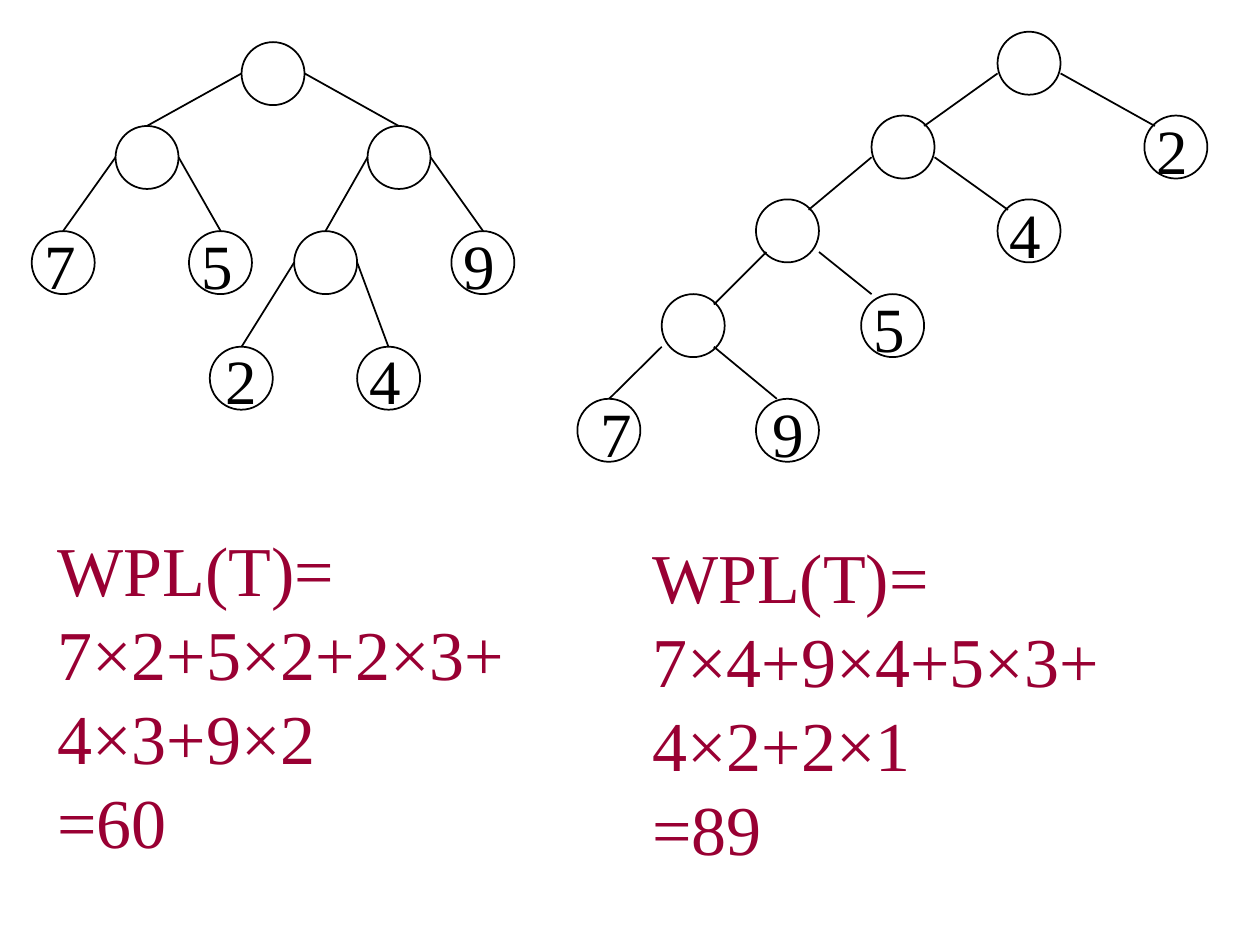
from pptx import Presentation
from pptx import util as u
from pptx.dml.color import RGBColor
from pptx.enum import shapes, text
from pptx.oxml.ns import qn
from lxml import etree

GRID = 2.54 / 12
NODE_SIZE = 6
FONT = "Times New Roman"
BLACK, CRIMSON = "000000", "990033"

BALANCED_NODES = {
    "root": (23, 4, ""), "left": (11, 12, ""), "right": (35, 12, ""),
    "seven": (3, 22, "7"), "five": (18, 22, "5"), "inner": (28, 22, ""),
    "nine": (43, 22, "9"), "two": (20, 33, "2"), "four": (34, 33, "4"),
}
BALANCED_CHILDREN = {
    "root": ("left", "right"), "left": ("seven", "five"),
    "right": ("inner", "nine"), "inner": ("two", "four"),
}
SKEWED_NODES = [
    (95, 3, ""), (83, 11, ""), (109, 11, "2"), (72, 19, ""), (95, 19, "4"),
    (63, 28, ""), (82, 28, "5"), (55, 38, "7"), (72, 38, "9"),
]
SKEWED_EDGES = [
    (95, 7, 88, 12), (101, 7, 110, 12), (83, 15, 77, 20), (89, 15, 96, 20),
    (73, 24, 68, 29), (78, 24, 83, 28), (63, 33, 58, 38), (68, 33, 74, 38),
]
LABEL_SHIFTS = {(20, 33): 0.25, (55, 38): 1, (72, 38): 0.4}


def color(value):
    """Turn a hex string into a colour."""
    return RGBColor.from_string(value)


def grid(value):
    """Turn grid steps into a length."""
    return u.Cm(round(value * GRID, 2))


def add_run(paragraph, words, size, hex_color):
    """Add one formatted run to a paragraph."""
    run = paragraph.add_run()
    run.text = words
    run.font.name = FONT
    run.font.size = u.Pt(size)
    run.font.color.rgb = color(hex_color)


def add_label(slide, left, top, words):
    """Write a leaf weight that does not wrap."""
    box = slide.shapes.add_textbox(grid(left), grid(top), u.Cm(1.15), u.Cm(1.78))
    box.text_frame.word_wrap = False
    box.text_frame.auto_size = text.MSO_AUTO_SIZE.SHAPE_TO_FIT_TEXT
    add_run(box.text_frame.paragraphs[0], words, 36, BLACK)


def add_node(slide, left, top, weight):
    """Draw a tree node, with its weight if it is a leaf."""
    shape = slide.shapes.add_shape(
        shapes.MSO_SHAPE.OVAL, grid(left), grid(top), grid(NODE_SIZE), grid(NODE_SIZE))
    shape.shadow.inherit = False
    shape.fill.background()
    shape.line.color.rgb = color(BLACK)
    shape.line.width = u.Pt(1)
    if weight:
        add_label(slide, left + LABEL_SHIFTS.get((left, top), 0), top - 1, weight)


def add_edge(slide, *ends):
    """Draw a straight branch between two grid points."""
    edge = slide.shapes.add_connector(
        shapes.MSO_CONNECTOR.STRAIGHT, *(grid(end) for end in ends))
    edge.line.color.rgb = color(BLACK)
    edge.line.width = u.Pt(1)
    etree.SubElement(edge._element.spPr, qn("a:effectLst"))


def add_balanced_edges(slide):
    """Join each parent's sides to the tops of its two children."""
    for parent, children in BALANCED_CHILDREN.items():
        left, top, _ = BALANCED_NODES[parent]
        for side, child in enumerate(children):
            child_left, child_top, _ = BALANCED_NODES[child]
            add_edge(slide, left + side * NODE_SIZE, top + NODE_SIZE / 2,
                     child_left + NODE_SIZE / 2, child_top)


def add_formula(slide, left, top, width, lines):
    """Write a path length calculation."""
    box = slide.shapes.add_textbox(u.Cm(left), u.Cm(top), u.Cm(width), u.Cm(7.04))
    box.text_frame.word_wrap = True
    box.text_frame.auto_size = text.MSO_AUTO_SIZE.SHAPE_TO_FIT_TEXT
    paragraph = box.text_frame.paragraphs[0]
    for index, line in enumerate(lines):
        if index:
            paragraph.add_line_break()
        add_run(paragraph, line, 40, CRIMSON)


def main():
    """Build the slide with two weighted trees."""
    presentation = Presentation()
    presentation.slide_width, presentation.slide_height = u.Cm(25.4), u.Cm(19.05)
    slide = presentation.slides.add_slide(presentation.slide_layouts[6])
    for node in [*BALANCED_NODES.values(), *SKEWED_NODES]:
        add_node(slide, *node)
    add_balanced_edges(slide)
    for ends in SKEWED_EDGES:
        add_edge(slide, *ends)
    add_formula(slide, 0.91, 10.49, 9.68, ["WPL(T)=", "7×2+5×2+2×3+4×3+9×2", "=60"])
    add_formula(slide, 12.9, 10.64, 9.96, ["WPL(T)=", "7×4+9×4+5×3+4×2+2×1", "=89"])
    presentation.save("out.pptx")


if __name__ == "__main__":
    main()
